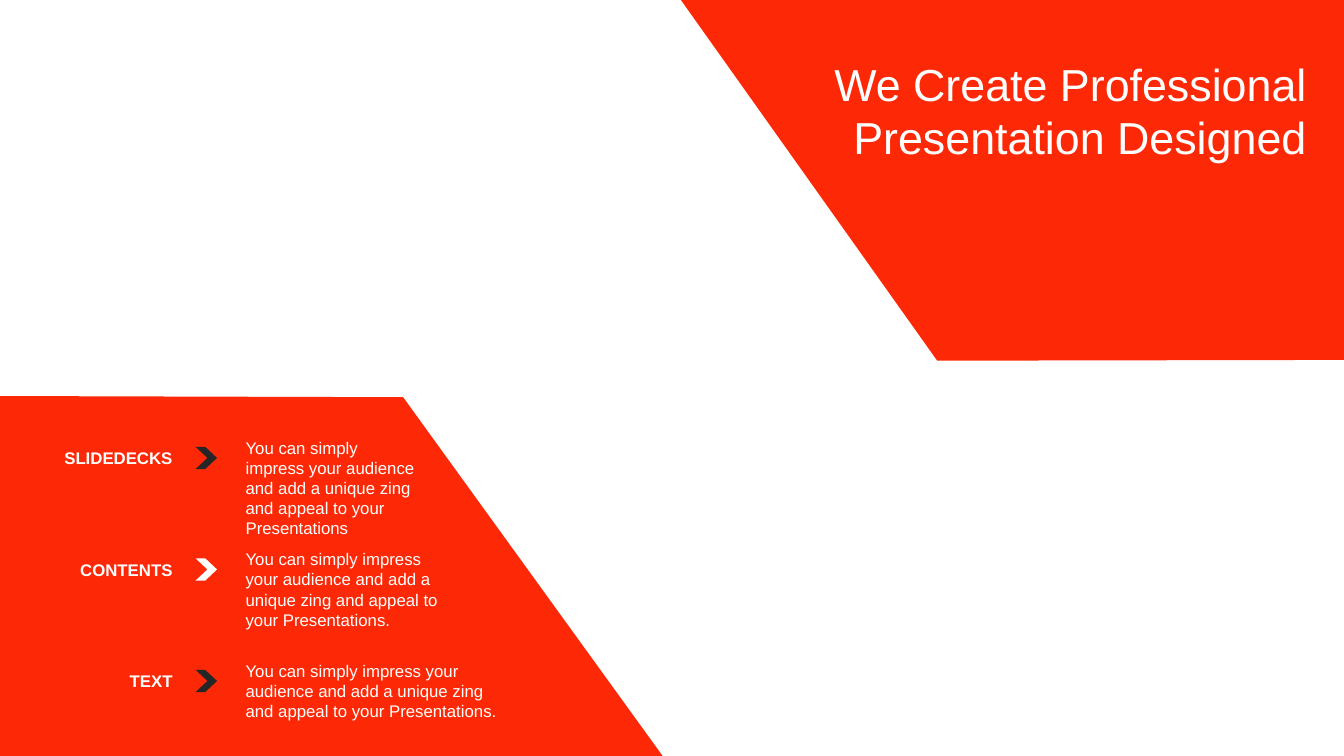
from pptx import Presentation
from pptx.enum import shapes, text
from pptx.dml.color import RGBColor
from pptx.util import Cm, Pt

COLORS = {"red": "FD2906", "dark": "262626", "white": "FFFFFF"}
FONT = "Arial"
SLIDE_W, SLIDE_H = 33.87, 19.05

HEADLINE = "We Create Professional Presentation Designed"
PITCH = "You can simply impress your audience and add a unique zing and appeal to your Presentations"
TOPICS = [
    ("SLIDEDECKS", PITCH, 4.85, 2.82, "dark"),
    ("CONTENTS", PITCH + ".", 5.64, 2.31, "white"),
    ("TEXT", PITCH + ".", 7.01, 1.8, "dark"),
]
BANDS = [
    [(0, 9.98), (10.16, 10.01), (16.7, SLIDE_H), (0, SLIDE_H)],
    [(SLIDE_W, 9.07), (23.62, 9.09), (17.16, 0), (SLIDE_W, 0)],
]
FIRST_TOP, TOPIC_STEP = 10.9, 2.81

deck = Presentation()
deck.slide_width, deck.slide_height = Cm(SLIDE_W), Cm(SLIDE_H)
slide = deck.slides.add_slide(deck.slide_layouts[6])


def paint(shape, color):
    shape.shadow.inherit = False
    shape.fill.solid()
    shape.fill.fore_color.rgb = RGBColor.from_string(COLORS[color])
    shape.line.fill.background()


def write(words, left, top, width, height, size=12, bold=False, right=False, insets=None):
    frame = slide.shapes.add_textbox(Cm(left), Cm(top), Cm(width), Cm(height)).text_frame
    frame.word_wrap = True
    frame.auto_size = text.MSO_AUTO_SIZE.SHAPE_TO_FIT_TEXT
    if insets:
        frame.margin_left, frame.margin_top, frame.margin_right, frame.margin_bottom = map(Cm, insets)
    frame.text = words
    paragraph = frame.paragraphs[0]
    paragraph.alignment = text.PP_ALIGN.RIGHT if right else text.PP_ALIGN.LEFT
    font = paragraph.runs[0].font
    font.name, font.size, font.bold = FONT, Pt(size), bold
    font.color.rgb = RGBColor.from_string(COLORS["white"])


for corners in BANDS:
    start, *rest = [(Cm(x), Cm(y)) for x, y in corners]
    outline = slide.shapes.build_freeform(*start)
    outline.add_line_segments(rest, close=True)
    paint(outline.convert_to_shape(), "red")

for row, (topic, pitch, pitch_width, pitch_height, color) in enumerate(TOPICS):
    top = FIRST_TOP + row * TOPIC_STEP
    write(topic, 0.38, top + 0.26, 4.22, 0.78, bold=True, right=True)
    write(pitch, 5.94, top, pitch_width, pitch_height)
    chevron = slide.shapes.add_shape(
        shapes.MSO_SHAPE.CHEVRON, Cm(4.93), Cm(top + 0.36), Cm(0.54), Cm(0.56))
    chevron.adjustments[0] = 0.55
    paint(chevron, color)

write(HEADLINE, 18.24, 1.42, 14.78, 2.74, size=32, right=True, insets=(0.13, 0, 0.08, 0))

deck.save("out.pptx")
